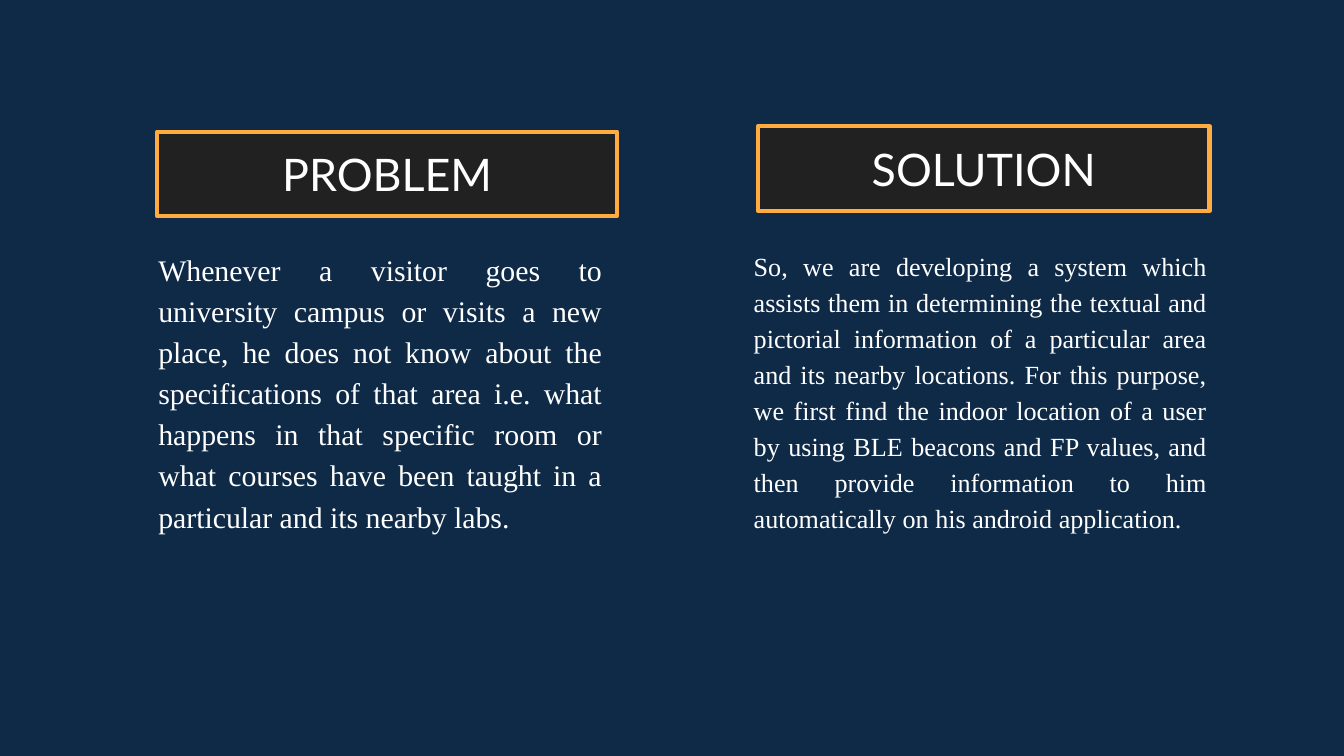
from dataclasses import dataclass

from pptx import Presentation
from pptx.dml.color import RGBColor
from pptx.enum.shapes import MSO_SHAPE as Shape
from pptx.enum.text import MSO_ANCHOR as Anchor, PP_ALIGN as Align
from pptx.slide import Slide
from pptx.text.text import TextFrame
from pptx.util import Inches, Pt

NAVY, CHARCOAL, ORANGE, WHITE = "0E2A47", "212121", "FFAB40", "FFFFFF"
MARGIN = Inches(0.1)


@dataclass
class Area:
    left: float
    top: float
    width: float
    height: float

    def lengths(self) -> list:
        return [Inches(n) for n in (self.left, self.top, self.width, self.height)]


@dataclass
class Column:
    heading: str
    heading_area: Area
    body: str
    body_area: Area
    body_size: int


COLUMNS = [
    Column(
        "PROBLEM", Area(1.17, 0.98, 3.42, 0.63),
        "Whenever a visitor goes to university campus or visits a new place, "
        "he does not know about the specifications of that area i.e. what "
        "happens in that specific room or what courses have been taught in a "
        "particular and its nearby labs. ",
        Area(1.08, 1.73, 3.5, 2.75), 16,
    ),
    Column(
        "SOLUTION", Area(5.64, 0.94, 3.36, 0.63),
        "So, we are developing a system which assists them in determining the "
        "textual and pictorial information of a particular area and its nearby "
        "locations. For this purpose, we first find the indoor location of a "
        "user by using BLE beacons and FP values, and then provide information "
        "to him automatically on his android application.",
        Area(5.51, 1.73, 3.57, 2.5), 14,
    ),
]


def colour(value: str) -> RGBColor:
    return RGBColor.from_string(value)


def write(frame: TextFrame, text: str, font: str, size: int,
          align: Align, anchor: Anchor):
    """Fill a frame with one white paragraph and return the paragraph."""
    frame.word_wrap = True
    frame.vertical_anchor = anchor
    frame.margin_left = frame.margin_right = MARGIN
    frame.margin_top = frame.margin_bottom = MARGIN
    para = frame.paragraphs[0]
    para.text = text
    para.alignment = align
    para.font.name = font
    para.font.size = Pt(size)
    para.font.color.rgb = colour(WHITE)
    return para


def draw_heading(page: Slide, column: Column) -> None:
    box = page.shapes.add_shape(Shape.RECTANGLE, *column.heading_area.lengths())
    box.shadow.inherit = False
    box.fill.solid()
    box.fill.fore_color.rgb = colour(CHARCOAL)
    box.line.color.rgb = colour(ORANGE)
    box.line.width = Pt(2.25)
    write(box.text_frame, column.heading, "Lato", 24, Align.CENTER, Anchor.MIDDLE)


def draw_body(page: Slide, column: Column) -> None:
    box = page.shapes.add_textbox(*column.body_area.lengths())
    para = write(box.text_frame, column.body, "Times New Roman",
                 column.body_size, Align.JUSTIFY, Anchor.TOP)
    para.line_spacing = 1.15
    para.space_after = Pt(16)


def main() -> None:
    deck = Presentation()
    # Widescreen, 16:9
    deck.slide_width, deck.slide_height = Inches(10), Inches(10 * 9 / 16)
    page = deck.slides.add_slide(deck.slide_layouts[6])

    # Background
    page.background.fill.solid()
    page.background.fill.fore_color.rgb = colour(NAVY)

    # Problem and solution columns
    for column in COLUMNS:
        draw_heading(page, column)
        draw_body(page, column)

    deck.save("out.pptx")


if __name__ == "__main__":
    main()
